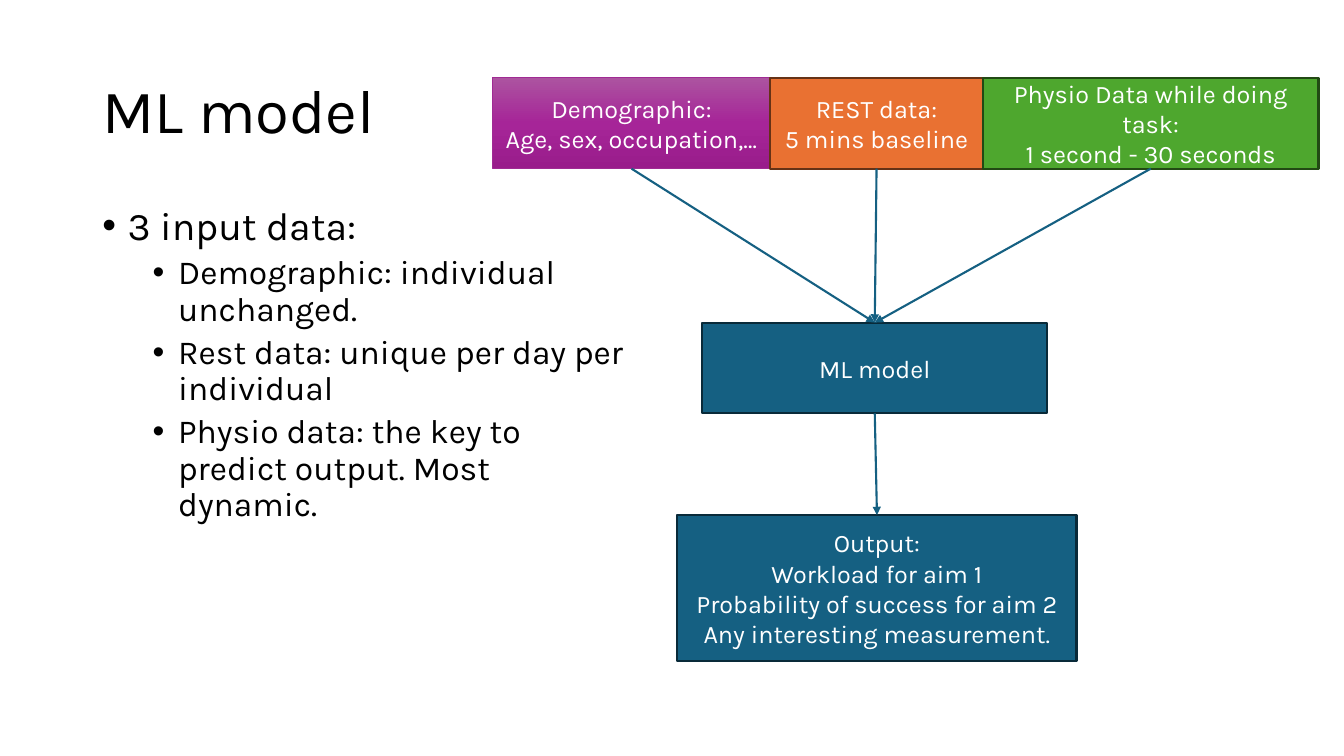
from lxml import etree
from pptx import Presentation
from pptx.dml.color import RGBColor
from pptx.enum.shapes import MSO_CONNECTOR, MSO_SHAPE
from pptx.enum.text import MSO_ANCHOR, MSO_AUTO_SIZE, PP_ALIGN
from pptx.oxml import parse_xml
from pptx.oxml.ns import nsdecls, qn
from pptx.util import Cm, Pt

RECT, STRAIGHT = MSO_SHAPE.RECTANGLE, MSO_CONNECTOR.STRAIGHT
MIDDLE, NO_FIT = MSO_ANCHOR.MIDDLE, MSO_AUTO_SIZE.NONE
LEFT, CENTER = PP_ALIGN.LEFT, PP_ALIGN.CENTER
TOP, BOTTOM = 0, 2
FONT = "Karla"
COLORS = {
    "text": "000000", "box_text": "FFFFFF",
    "blue": "156082", "blue_line": "092A39",
    "orange": "E97132", "orange_line": "663216",
    "green": "4EA72E", "green_line": "224914",
    "purple_line": "A02B93",
    "purple_top": "AC53A0", "purple_mid": "A62598", "purple_end": "991C8B",
}
PURPLE_STOPS = [(0, "purple_top"), (50, "purple_mid"), (100, "purple_end")]
INPUTS = [  # width in cm, fill, line, line width, text
    (6.99, PURPLE_STOPS, "purple_line", 1, ["Demographic:", "Age, sex, occupation,…"]),
    (5.36, "orange", "orange_line", 1.5, ["REST data:", "5 mins baseline"]),
    (8.46, "green", "green_line", 1.5,
     ["Physio Data while doing task:", "1 second - 30 seconds"]),
]
OUTPUT = ["Output:", "Workload for aim 1", "Probability of success for aim 2",
          "Any interesting measurement."]
BULLETS = [  # level, text
    (0, "3 input data:"),
    (1, "Demographic: individual unchanged."),
    (1, "Rest data: unique per day per individual"),
    (1, "Physio data: the key to predict output. Most dynamic."),
]
LEVELS = [  # size, space before, left margin in cm
    (28, 10, 0.64), (24, 5, 1.91),
]
HANGING = Cm(0.64)


def rgb(name):
    return RGBColor.from_string(COLORS[name])


def write(p, text, size, color, **formats):
    for name, value in formats.items():
        setattr(p, name, value)
    r = p.add_run()
    r.text = text
    for name, value in {"name": FONT, "size": Pt(size)}.items():
        setattr(r.font, name, value)
    r.font.color.rgb = rgb(color)


def paragraphs(tf, items):
    """Yield one paragraph of the frame with each item."""
    for i, item in enumerate(items):
        yield (tf.add_paragraph() if i else tf.paragraphs[0]), item


def add_title(s, x, y, w, h):
    sp = s.shapes.title
    for name, value in zip(("left", "top", "width", "height"), (x, y, w, h)):
        setattr(sp, name, Cm(value))
    tf = sp.text_frame
    for name, value in {"auto_size": NO_FIT, "vertical_anchor": MIDDLE}.items():
        setattr(tf, name, value)
    write(tf.paragraphs[0], "ML model", 44, "text", alignment=LEFT, line_spacing=0.9)


def add_bullets(s, x, y, w, h):
    tf = s.shapes.add_textbox(Cm(x), Cm(y), Cm(w), Cm(h)).text_frame
    tf.word_wrap = True
    for p, (level, text) in paragraphs(tf, BULLETS):
        size, before, margin = LEVELS[level]
        write(p, text, size, "text", level=level, line_spacing=0.9,
              space_before=Pt(before))
        pPr = p._p.get_or_add_pPr()
        pPr.set("marL", str(Cm(margin)))
        pPr.set("indent", str(-HANGING))
        etree.SubElement(pPr, qn("a:buFont")).set("typeface", "Arial")
        etree.SubElement(pPr, qn("a:buChar")).set("char", "•")


def fill_gradient(sp, stops):
    sp.fill.gradient()
    sp.fill.gradient_angle = 270
    gs_list = sp._element.spPr.find(".//" + qn("a:gsLst"))
    for gs in list(gs_list):
        gs_list.remove(gs)
    for percent, color in stops:
        gs_list.append(parse_xml(
            f'<a:gs {nsdecls("a")} pos="{percent * 1000}">'
            f'<a:srgbClr val="{COLORS[color]}"/></a:gs>'))


def add_box(s, x, y, w, h, lines, fill="blue", line="blue_line", weight=1.5):
    sp = s.shapes.add_shape(RECT, Cm(x), Cm(y), Cm(w), Cm(h))
    sp.shadow.inherit = False
    if isinstance(fill, list):
        fill_gradient(sp, fill)
    else:
        sp.fill.solid()
        sp.fill.fore_color.rgb = rgb(fill)
    sp.line.color.rgb = rgb(line)
    sp.line.width = Pt(weight)
    tf = sp.text_frame
    for name, value in {"word_wrap": True, "vertical_anchor": MIDDLE}.items():
        setattr(tf, name, value)
    for p, text in paragraphs(tf, lines):
        write(p, text, 18, "box_text", alignment=CENTER)
    return sp


def add_arrow(s, source, target):
    """Join the bottom of one box to the top of another."""
    c = s.shapes.add_connector(STRAIGHT, 0, 0, 0, 0)
    c.begin_connect(source, BOTTOM)
    c.end_connect(target, TOP)
    c.line.color.rgb = rgb("blue")
    c.line.width = Pt(1.5)
    etree.SubElement(c.line._get_or_add_ln(), qn("a:tailEnd")).set("type", "triangle")
    etree.SubElement(c._element.spPr, qn("a:effectLst"))


def add_input_row(s, x, y, h):
    boxes = []
    for w, fill, line, weight, lines in INPUTS:
        boxes.append(add_box(s, x, y, w, h, lines, fill, line, weight))
        x += w
    return boxes


def add_diagram(s, x, y):
    """Draw the inputs, the model and the output from the given corner."""
    inputs = add_input_row(s, x, y, 2.29)
    model = add_box(s, x + 5.28, y + 6.17, 8.69, 2.29, ["ML model"])
    output = add_box(s, x + 4.65, y + 11.02, 10.06, 3.68, OUTPUT)
    for box in inputs:
        add_arrow(s, box, model)
    add_arrow(s, model, output)


def main():
    prs = Presentation()
    prs.slide_width, prs.slide_height = Cm(33.87), Cm(19.05)
    s = prs.slides.add_slide(prs.slide_layouts.get_by_name("Title Only"))
    add_title(s, 2.33, 1.01, 29.21, 3.68)
    add_bullets(s, 2.33, 5.08, 13.84, 12.19)
    add_diagram(s, 12.42, 1.96)
    prs.save("out.pptx")


if __name__ == "__main__":
    main()
